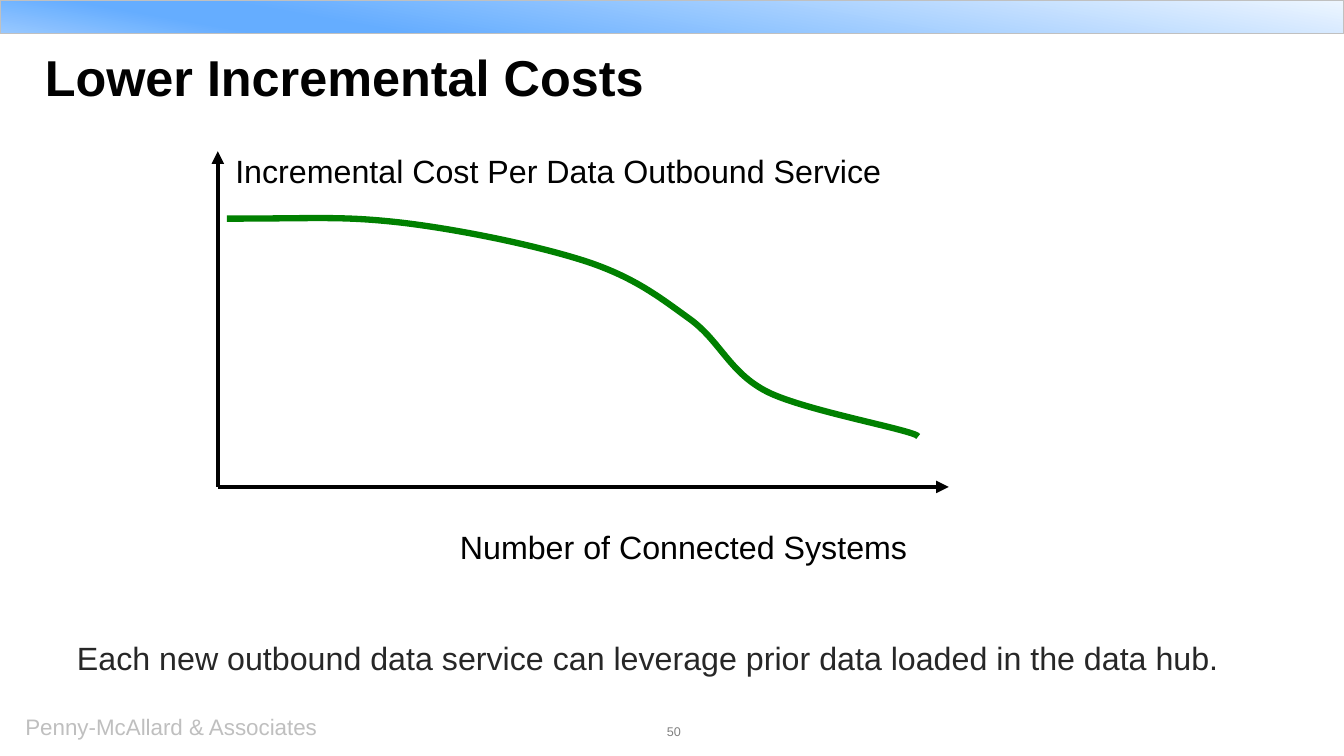
from lxml import etree
from pptx import Presentation
from pptx.dml.color import RGBColor
from pptx.enum.shapes import MSO_CONNECTOR, MSO_SHAPE
from pptx.enum.text import PP_ALIGN
from pptx.oxml.ns import qn
from pptx.util import Cm, Pt

STRAIGHT = MSO_CONNECTOR.STRAIGHT
RECTANGLE = MSO_SHAPE.RECTANGLE
LEFT, CENTER = PP_ALIGN.LEFT, PP_ALIGN.CENTER

BLACK, GREEN, SILVER = "010101", "008000", "C0C0C0"


def color(value):
    return RGBColor.from_string(value)


class SlideBuilder:
    font_name = "Arial"

    def __init__(self, slide):
        self.slide = slide
        self.shapes = slide.shapes

    def text(self, words, left, top, width, height, size, ink=BLACK, bold=False,
             align=LEFT, line_spacing=None, space_after=None, indent=None):
        frame = self.shapes.add_textbox(Cm(left), Cm(top), Cm(width), Cm(height)).text_frame
        frame.margin_left = frame.margin_right = frame.margin_top = frame.margin_bottom = 0
        frame.word_wrap = True
        paragraph = frame.paragraphs[0]
        paragraph.text = words
        paragraph.alignment = align
        if indent:
            paragraph._p.get_or_add_pPr().set("marL", str(Cm(indent)))
        if line_spacing:
            paragraph.line_spacing = Pt(line_spacing)
        if space_after:
            paragraph.space_after = Pt(space_after)
        font = paragraph.font
        font.name, font.size, font.bold = self.font_name, Pt(size), bold
        font.color.rgb = color(ink)

    def gradient_bar(self, left, top, width, height, stops, angle, outline):
        bar = self.shapes.add_shape(RECTANGLE, Cm(left), Cm(top), Cm(width), Cm(height))
        bar.shadow.inherit = False
        bar.fill.gradient()
        bar.fill.gradient_angle = angle
        stop_list = bar._element.spPr.find(".//" + qn("a:gsLst"))
        for old_stop in list(stop_list):
            stop_list.remove(old_stop)
        for percent, shade in stops:
            stop = etree.SubElement(stop_list, qn("a:gs"), pos=str(percent * 1000))
            etree.SubElement(stop, qn("a:srgbClr"), val=shade)
        bar.line.color.rgb = color(outline)
        bar.line.width = Pt(1)

    def arrow(self, start, end, width, ink=BLACK):
        axis = self.shapes.add_connector(STRAIGHT, *map(Cm, start + end))
        axis.line.color.rgb = color(ink)
        axis.line.width = Pt(width)
        etree.SubElement(axis.line._get_or_add_ln(), qn("a:tailEnd"), type="triangle")
        etree.SubElement(axis._element.spPr, qn("a:effectLst"))

    def curve(self, points, width, ink):
        """Smooth open line: a start point, then three Bezier points per section."""
        start, *controls = [(Cm(x), Cm(y)) for x, y in points]
        builder = self.shapes.build_freeform(*start)
        builder.add_line_segments(controls, close=False)
        line = builder.convert_to_shape()
        line.shadow.inherit = False
        line.fill.background()
        line.line.color.rgb = color(ink)
        line.line.width = Pt(width)
        # Turn each three straight segments into one cubic section
        segments = list(line._element.iter(qn("a:lnTo")))
        for first in range(0, len(segments), 3):
            section = etree.Element(qn("a:cubicBezTo"))
            segments[first].addprevious(section)
            for segment in segments[first:first + 3]:
                section.append(segment[0])
                segment.getparent().remove(segment)


def main():
    presentation = Presentation()
    presentation.slide_width, presentation.slide_height = Cm(33.87), Cm(19.05)
    page = SlideBuilder(presentation.slides.add_slide(presentation.slide_layouts[6]))

    # Footer and top band
    page.text("Penny-McAllard & Associates", 0.64, 17.98, 9, 0.69, 16, "BFBFBF")
    page.text("50", 9.96, 18.24, 14.05, 0.76, 9, "808080", align=CENTER)
    band_stops = [(0, "EEF6FF"), (74, "65ADFF"), (83, "65ADFF"), (100, "98C8FF")]
    page.gradient_bar(0, 0, 33.87, 0.84, band_stops, 260, SILVER)

    # Title and takeaway
    page.text("Lower Incremental Costs", 1.13, 1.27, 26.59, 1.63, 36, bold=True,
              line_spacing=40)
    page.text("Each new outbound data service can leverage prior data loaded in the data hub.",
              1.69, 16.08, 30.81, 2.34, 23, "272727", space_after=6, indent=0.25)

    # Axes with their labels
    origin = (5.49, 12.27)
    page.arrow(origin, (5.49, 3.81), 3)
    page.arrow(origin, (23.91, 12.27), 3)
    page.text("Incremental Cost Per Data Outbound Service", 5.93, 3.81, 21.59, 0.99, 23)
    page.text("Number of Connected Systems", 11.59, 13.28, 12, 0.99, 23)

    # Falling cost curve
    cost_points = [
        (5.72, 5.51),
        (8.03, 5.51), (8.59, 5.44), (10.11, 5.61),
        (11.63, 5.79), (13.59, 6.2), (14.81, 6.6),
        (16.03, 7.01), (16.66, 7.52), (17.4, 8.05),
        (18.16, 8.61), (18.39, 9.4), (19.35, 9.88),
        (20.32, 10.36), (23.09, 10.85), (23.14, 11),
    ]
    page.curve(cost_points, 4.5, GREEN)

    presentation.save("out.pptx")


if __name__ == "__main__":
    main()
